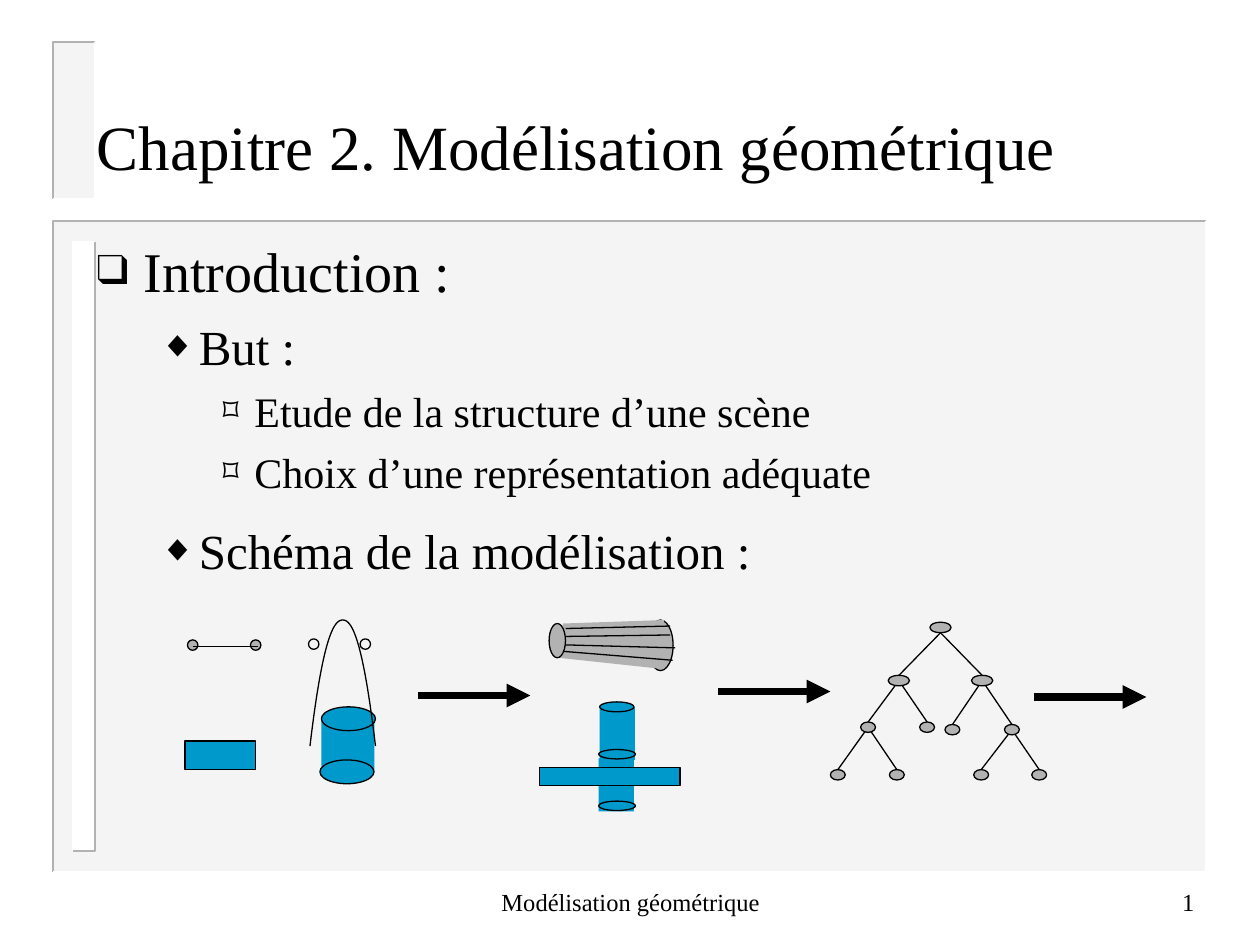
from lxml import etree
from pptx import Presentation
from pptx.dml.color import RGBColor
from pptx.enum.shapes import MSO_CONNECTOR, MSO_SHAPE
from pptx.enum.text import MSO_ANCHOR, PP_ALIGN
from pptx.oxml.ns import qn
from pptx.util import Cm, Pt

RECT, OVAL = MSO_SHAPE.RECTANGLE, MSO_SHAPE.OVAL
STRAIGHT = MSO_CONNECTOR.STRAIGHT
LEFT, CENTER, RIGHT = PP_ALIGN.LEFT, PP_ALIGN.CENTER, PP_ALIGN.RIGHT
TOP, MIDDLE = MSO_ANCHOR.TOP, MSO_ANCHOR.MIDDLE

COLORS = {"panel": "EAEAEA", "edge": "B2B2B2", "white": "FFFFFF",
          "black": "000000", "grey": "B2B2B2", "blue": "0099CC"}
RGB = {name: RGBColor.from_string(value) for name, value in COLORS.items()}
FONT = "Times New Roman"

prs = Presentation()
prs.slide_width, prs.slide_height = Cm(25.4), Cm(19.05)
s = prs.slides.add_slide(prs.slide_layouts[6])


def style(sp, fill=None, line=None, width=0.75):
    """Set fill and line by colour name; None means none."""
    sp.shadow.inherit = False
    if fill:
        sp.fill.solid()
        sp.fill.fore_color.rgb = RGB[fill]
    else:
        sp.fill.background()
    if line:
        sp.line.color.rgb = RGB[line]
        sp.line.width = Pt(width)
    else:
        sp.line.fill.background()


def add_line(x1, y1, x2, y2, width=0.75):
    cx = s.shapes.add_connector(STRAIGHT, Cm(x1), Cm(y1), Cm(x2), Cm(y2))
    cx.line.color.rgb = RGB["black"]
    cx.line.width = Pt(width)
    etree.SubElement(cx._element.spPr, qn("a:effectLst"))
    return cx


# Background panels: fill, then top-left and bottom-right edges
panels = [
    (1.07, 4.45, 23.24, 13.13, "panel", "edge", "white"),
    (1.48, 4.87, 0.43, 12.28, "white", "white", "edge"),
    (1.07, 0.85, 0.85, 3.17, "panel", "edge", "white"),
]
for x, y, w, h, fill, top_left, bottom_right in panels:
    sp = s.shapes.add_shape(RECT, Cm(x), Cm(y), Cm(w), Cm(h))
    style(sp, fill)
    if fill == "panel":
        color = sp._element.spPr.find(qn("a:solidFill"))[0]
        etree.SubElement(color, qn("a:alpha"), val="50000")
    for color, cx, cy in ((top_left, x, y), (bottom_right, x + w, y + h)):
        fb = s.shapes.build_freeform(Cm(x + w), Cm(y))
        fb.add_line_segments([(Cm(cx), Cm(cy)), (Cm(x), Cm(y + h))], close=False)
        style(fb.convert_to_shape(), line=color, width=1)

# Text: box, anchor, alignment, paragraphs of (text, size, bullet level)
BULLETS = [("❑", 0.95, 0.95, 8), ("◆", 2.06, 0.79, 7), ("⌑", 3.18, 0.64, 6)]
texts = [
    (8.69, 17.55, 8.05, 1.27, MIDDLE, CENTER, [("Modélisation géométrique", 14, None)]),
    (19.05, 17.55, 5.28, 1.27, MIDDLE, RIGHT, [("1", 14, None)]),
    (1.7, 1.98, 21.59, 1.9, MIDDLE, LEFT, [("Chapitre 2. Modélisation géométrique", 36, None)]),
    (1.7, 4.65, 22.43, 13.59, TOP, LEFT, [
        ("Introduction :", 32, 0),
        ("But :", 28, 1),
        ("Etude de la structure d’une scène", 24, 2),
        ("Choix d’une représentation adéquate", 24, 2),
        ("Schéma de la modélisation :", 28, 1),
    ]),
]
for x, y, w, h, anchor, align, paragraphs in texts:
    tf = s.shapes.add_textbox(Cm(x), Cm(y), Cm(w), Cm(h)).text_frame
    tf.word_wrap = True
    tf.vertical_anchor = anchor
    for i, (text, size, level) in enumerate(paragraphs):
        p = tf.add_paragraph() if i else tf.paragraphs[0]
        p.alignment = align
        r = p.add_run()
        r.text = text
        r.font.name, r.font.size = FONT, Pt(size)
        r.font.color.rgb = RGB["black"]
        if level is None:
            continue
        char, margin, hanging, before = BULLETS[level]
        p.level = level
        p.space_before = Pt(before)
        if text.startswith("Schéma"):
            p.line_spacing = 1.2
        pPr = p._p.get_or_add_pPr()
        pPr.set("marL", str(Cm(margin)))
        pPr.set("indent", str(-Cm(hanging)))
        bu_color = etree.SubElement(pPr, qn("a:buClr"))
        etree.SubElement(bu_color, qn("a:srgbClr"), val=COLORS["black"])
        etree.SubElement(pPr, qn("a:buSzPct"), val="75000")
        etree.SubElement(pPr, qn("a:buFont"), typeface=FONT)
        etree.SubElement(pPr, qn("a:buChar"), char=char)

# Cone: far end and body
sp = s.shapes.add_shape(OVAL, Cm(13.06), Cm(12.5), Cm(0.51), Cm(1.02))
style(sp, "grey", "black")
fb = s.shapes.build_freeform(Cm(11.35), Cm(12.57))
fb.add_line_segments([(Cm(x), Cm(y)) for x, y in
                      ((13.39, 12.5), (13.39, 13.49), (11.25, 13.26))])
style(fb.convert_to_shape(), "grey")

# Primitives and assembled solids
solids = [
    (OVAL, 11.07, 12.57, 0.33, 0.69, "grey", "black"),   # cone, near end
    (OVAL, 3.78, 12.9, 0.21, 0.21, "grey", "black"),     # segment ends
    (OVAL, 5.05, 12.9, 0.21, 0.21, "grey", "black"),
    (OVAL, 7.26, 12.88, 0.21, 0.21, None, "black"),      # control points
    (OVAL, 6.22, 12.88, 0.21, 0.21, None, "black"),
    (RECT, 3.73, 14.94, 1.42, 0.58, "blue", "black"),
    (RECT, 6.48, 14.5, 1.07, 1.07, "blue", None),        # cylinder
    (OVAL, 6.48, 14.25, 1.09, 0.48, "blue", "black"),
    (OVAL, 6.45, 15.32, 1.09, 0.48, "blue", "black"),
    (RECT, 12.07, 15.29, 0.71, 1.07, "blue", None),      # post through a plate
    (OVAL, 12.07, 16.15, 0.74, 0.19, "blue", "black"),
    (RECT, 10.87, 15.47, 2.84, 0.36, "blue", "black"),
    (RECT, 12.09, 14.25, 0.71, 1.07, "blue", None),
    (OVAL, 12.09, 14.15, 0.69, 0.2, "blue", "black"),
    (OVAL, 12.07, 15.11, 0.74, 0.19, "blue", "black"),
]
for kind, x, y, w, h, fill, line in solids:
    sp = s.shapes.add_shape(kind, Cm(x), Cm(y), Cm(w), Cm(h))
    style(sp, fill, line)

# Segment, then the cone's generating lines
for ends in ((3.89, 13.03, 5.21, 13.03),
             (11.4, 12.83, 13.51, 12.8), (11.4, 13, 13.61, 13.06),
             (11.35, 13.13, 13.56, 13.31), (11.4, 12.67, 13.51, 12.62)):
    add_line(*ends)

# Tree: centre, width and parent index of each node
NODE_H = 0.21
nodes = [
    (18.96, 12.65, 0.43, None),
    (18.12, 13.72, 0.43, 0), (19.8, 13.72, 0.43, 0),
    (17.5, 14.66, 0.3, 1), (18.69, 14.66, 0.3, 1),
    (19.2, 14.71, 0.3, 2), (20.4, 14.71, 0.3, 2),
    (16.89, 15.62, 0.3, 3), (18.08, 15.62, 0.3, 3),
    (19.78, 15.62, 0.3, 6), (20.95, 15.62, 0.3, 6),
]
for x, y, w, parent in nodes[1:]:
    px, py = nodes[parent][:2]
    start = py + NODE_H / 2 if parent == 0 else py
    add_line(px, start, x, y - NODE_H / 2)
for x, y, w, parent in nodes:
    sp = s.shapes.add_shape(OVAL, Cm(x - w / 2), Cm(y - NODE_H / 2), Cm(w), Cm(NODE_H))
    style(sp, "grey", "black")

# Arrows between the stages
for x, y in ((8.43, 14.02), (14.48, 13.94), (20.85, 14.05)):
    arrow = add_line(x, y, x + 2.26, y, 4.5)
    etree.SubElement(arrow.line._get_or_add_ln(), qn("a:tailEnd"), type="triangle")

# Arch-shaped curve
STEPS = 24
arch = []
for i in range(-STEPS, STEPS + 1):
    u = i / STEPS
    arch.append((Cm(6.91 + 0.66 * u), Cm(12.5 + 2.54 * abs(u) ** 2.2)))
fb = s.shapes.build_freeform(*arch[0])
fb.add_line_segments(arch[1:], close=False)
style(fb.convert_to_shape(), line="black")

prs.save("out.pptx")
